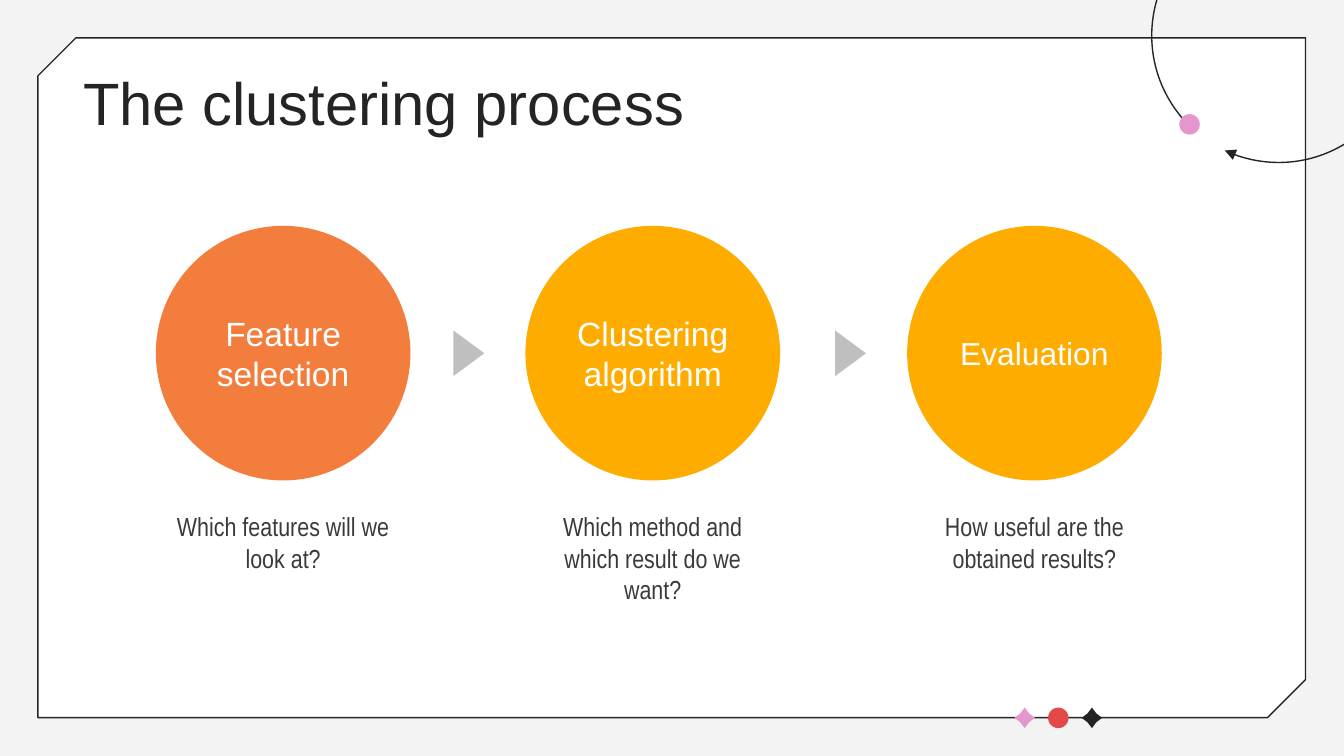
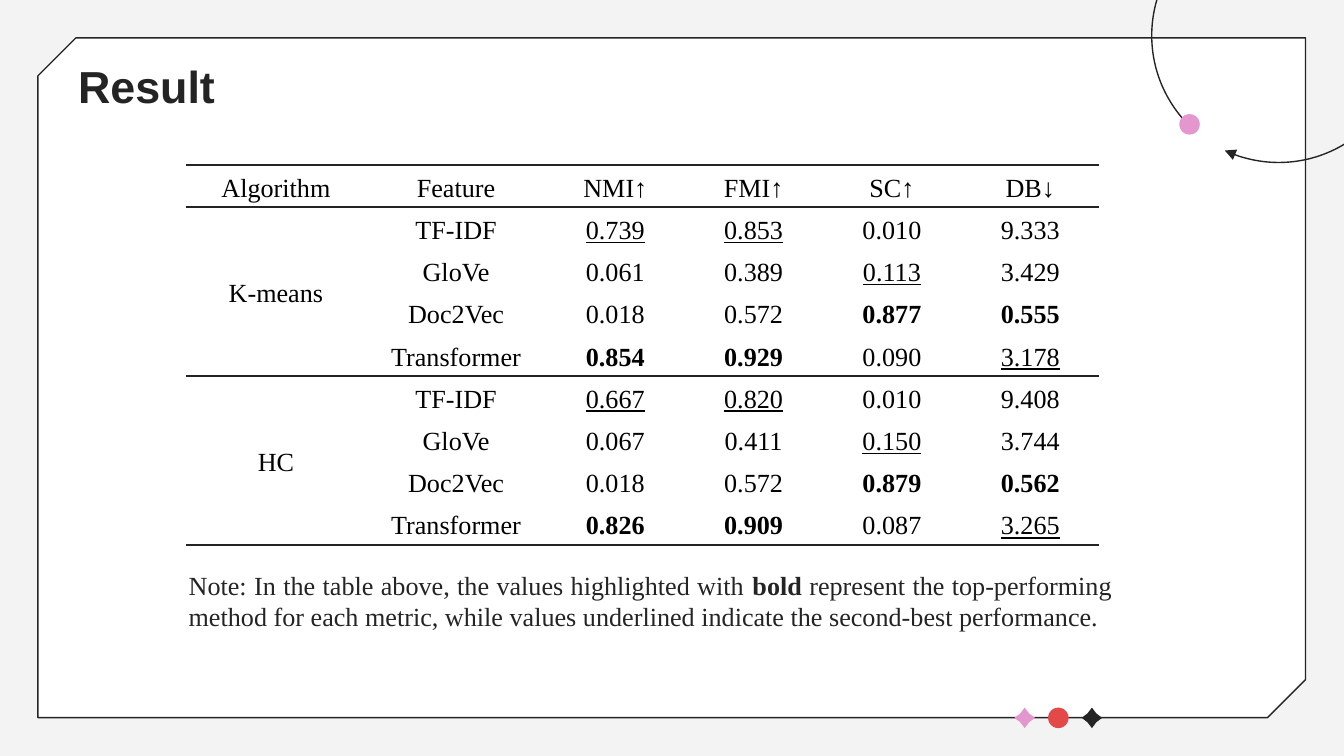
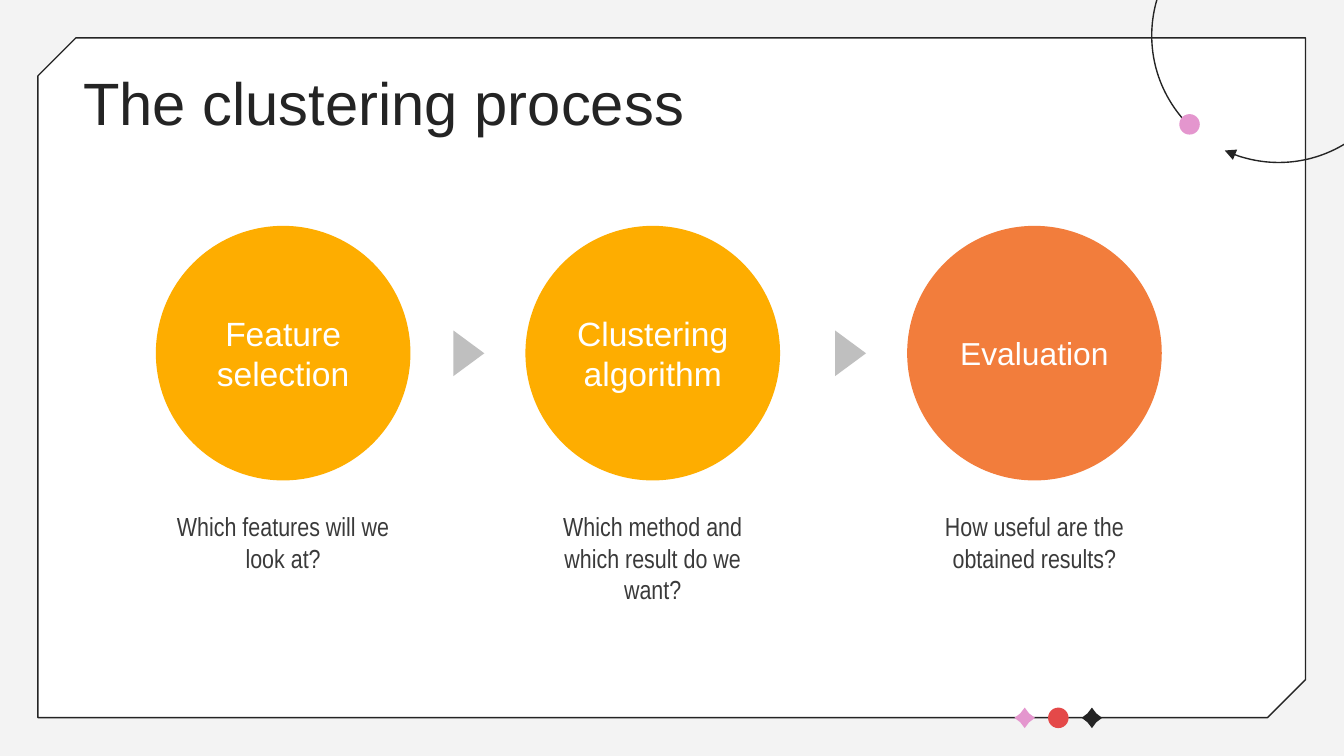
from lxml import etree
from pptx import Presentation
from pptx import util as u
from pptx.dml.color import RGBColor
from pptx.enum import shapes, text
from pptx.oxml import ns

Pt = u.Pt
SHAPE = shapes.MSO_SHAPE
ALIGN = text.PP_ALIGN
ANCHOR = text.MSO_ANCHOR

COLORS = {
    "ground": "F3F3F3", "white": "FFFFFF", "ink": "242424", "pink": "E496CE",
    "red": "E44949", "active": "F27D3C", "step": "FEAD00", "arrow": "BFBFBF",
    "caption": "3A3A3A", "black": "000000",
}


def color(name):
    return RGBColor.from_string(COLORS[name])


def write(para, content, font="Arial", size=14, ink="ink", bold=False,
          underline=False, align=None, spacing=None):
    """Add one formatted span to a paragraph."""
    if align is not None:
        para.alignment = align
    if spacing:
        para.line_spacing = Pt(spacing)
    span = para.add_run()
    span.text = content
    span.font.name = font
    span.font.size = Pt(size)
    span.font.bold = bold
    span.font.underline = underline
    span.font.color.rgb = color(ink)


class Builder:
    """Holds the deck style and the current page."""

    def __init__(self):
        self.deck = Presentation()
        self.deck.slide_width, self.deck.slide_height = Pt(720), Pt(405)
        ground = self.deck.slide_master.background.fill
        ground.solid()
        ground.fore_color.rgb = color("ground")
        self.layout = self.deck.slide_layouts.get_by_name("Title Only")
        for holder in list(self.layout.placeholders)[1:]:
            holder.element.getparent().remove(holder.element)
        self.page = None

    def new_page(self):
        first = self.page is None
        self.page = self.deck.slides.add_slide(self.layout)
        if first:
            self.frame()

    def frame(self):
        """Draw the shared decoration and move it to the layout."""
        card = self.shape(SHAPE.SNIP_2_DIAG_RECTANGLE, 20.3, 20.3, 679.1, 364.2,
                          "white", line="ink", adjust=(0.056, 0))
        marks = [(SHAPE.STAR_4_POINT, "pink", (0.303,)), (SHAPE.OVAL, "red", ()),
                 (SHAPE.STAR_4_POINT, "ink", (0.303,))]
        parts = [card] + [
            self.shape(kind, 543.5 + 18 * i, 379.1, 11, 11, fill, adjust=adjust)
            for i, (kind, fill, adjust) in enumerate(marks)]
        orbit = self.shape(SHAPE.ARC, 617, -49, 136, 136, line="ink",
                           adjust=(162, 150.08), turn=225)
        outline = orbit.element.spPr.find(ns.qn("a:ln"))
        etree.SubElement(outline, ns.qn("a:tailEnd"), type="triangle")
        parts += [orbit, self.shape(SHAPE.OVAL, 631.8, 61.1, 11, 11, "pink", turn=315)]
        holder = self.layout.placeholders[0].element
        for part in parts:
            holder.addprevious(part.element)

    def title(self, content, left, top, **style):
        box = self.page.shapes.title
        box.left, box.top, box.width, box.height = Pt(left), Pt(top), Pt(607), Pt(45.4)
        frame = box.text_frame
        frame.word_wrap = True
        frame.auto_size = text.MSO_AUTO_SIZE.NONE
        frame.vertical_anchor = ANCHOR.TOP
        frame.margin_left = frame.margin_right = Pt(7.2)
        frame.margin_top = frame.margin_bottom = Pt(7.2)
        write(frame.paragraphs[0], content, align=ALIGN.LEFT, **style)

    def shape(self, kind, left, top, width, height, fill=None, line=None,
              adjust=(), turn=0):
        item = self.page.shapes.add_shape(kind, Pt(left), Pt(top), Pt(width), Pt(height))
        item.shadow.inherit = False
        item.rotation = turn
        for i, value in enumerate(adjust):
            item.adjustments[i] = value
        if fill:
            item.fill.solid()
            item.fill.fore_color.rgb = color(fill)
        else:
            item.fill.background()
        if line:
            item.line.color.rgb = color(line)
            item.line.width = Pt(0.75)
        else:
            item.line.fill.background()
        return item

    def circle(self, lines, left, top, size, fill, font_size):
        frame = self.shape(SHAPE.OVAL, left, top, size, size, fill).text_frame
        frame.vertical_anchor = ANCHOR.MIDDLE
        for i, line in enumerate(lines):
            para = frame.add_paragraph() if i else frame.paragraphs[0]
            write(para, line, size=font_size, ink="white", align=ALIGN.CENTER)

    def textbox(self, spans, left, top, width, height, **style):
        """Add one paragraph made of (text, bold) spans."""
        box = self.page.shapes.add_textbox(Pt(left), Pt(top), Pt(width), Pt(height))
        frame = box.text_frame
        frame.word_wrap = True
        frame.auto_size = text.MSO_AUTO_SIZE.SHAPE_TO_FIT_TEXT
        for content, bold in spans:
            write(frame.paragraphs[0], content, bold=bold, **style)

    def table(self, rows, left, top, widths, row_height):
        table = self.page.shapes.add_table(
            len(rows), len(widths), Pt(left), Pt(top), Pt(sum(widths)),
            Pt(row_height * len(rows))).table
        table.first_row = table.horz_banding = False
        for column, width in zip(table.columns, widths):
            column.width = Pt(width)
        for row in table.rows:
            row.height = Pt(row_height)
        return table

    def cell(self, cell, content, rules, **style):
        """Fill a cell; rules names the ruled sides, such as "TB"."""
        cell.margin_left = cell.margin_right = Pt(5)
        cell.margin_top = cell.margin_bottom = 0
        cell.vertical_anchor = ANCHOR.MIDDLE
        properties = cell._tc.get_or_add_tcPr()
        for side in "LRTB":
            border = etree.SubElement(properties, ns.qn(f"a:ln{side}"), w=str(Pt(1)))
            if side in rules:
                fill = etree.SubElement(border, ns.qn("a:solidFill"))
                etree.SubElement(fill, ns.qn("a:srgbClr"), val=COLORS["ink"])
            else:
                etree.SubElement(border, ns.qn("a:noFill"))
        cell.fill.background()
        if content:
            write(cell.text_frame.paragraphs[0], content, font="Times New Roman",
                  ink="black", align=ALIGN.CENTER, spacing=18, **style)


# Process pages: circle lines, font size, caption, left edge, caption height
STEPS = [
    (["Feature", "selection"], 18, "Which features will we look at?", 83.5, 41),
    (["Clustering", "algorithm"], 18, "Which method and which result do we want?", 281.5, 58),
    (["Evaluation"], 17, "How useful are the obtained results?", 486, 41),
]


def process_page(builder, active):
    builder.new_page()
    builder.title("The clustering process", 37.4, 28.1, size=32)
    for i, (lines, size, caption, left, height) in enumerate(STEPS):
        builder.circle(lines, left, 121, 136.4, "active" if i == active else "step", size)
        if i:
            builder.shape(SHAPE.ISOSCELES_TRIANGLE, left - 42.6, 181, 24.5, 16.6,
                          "arrow", turn=90)
        builder.textbox([(caption, False)], left, 270, 136.4, height,
                        font="Arial Narrow", ink="caption", align=ALIGN.CENTER)


# Result page
HEADER = ["Algorithm", "Feature", "NMI↑", "FMI↑", "SC↑", "DB↓"]
GROUPS = {
    "K-means": [
        ["TF-IDF", "0.739", "0.853", "0.010", "9.333"],
        ["GloVe", "0.061", "0.389", "0.113", "3.429"],
        ["Doc2Vec", "0.018", "0.572", "0.877", "0.555"],
        ["Transformer", "0.854", "0.929", "0.090", "3.178"],
    ],
    "HC": [
        ["TF-IDF", "0.667", "0.820", "0.010", "9.408"],
        ["GloVe", "0.067", "0.411", "0.150", "3.744"],
        ["Doc2Vec", "0.018", "0.572", "0.879", "0.562"],
        ["Transformer", "0.826", "0.909", "0.087", "3.265"],
    ],
}
NOTE = [
    ("Note: In the table above, the values highlighted with ", False),
    ("bold", True),
    (" represent the top-performing method for each metric, while values underlined "
     "indicate the second-best performance.", False),
]


def rank_styles(records):
    """Map (record, column) to bold for the best value, underline for the second."""
    styles = {}
    for col in range(2, len(HEADER)):
        order = sorted(range(len(records)), key=lambda i: float(records[i][col - 1]),
                       reverse=HEADER[col].endswith("↑"))
        styles[order[0], col] = {"bold": True}
        styles[order[1], col] = {"underline": True}
    return styles


def result_page(builder):
    builder.new_page()
    builder.title("Result", 34.6, 24.5, size=24, bold=True)

    rows, styles, starts = [HEADER], {}, []
    for name, records in GROUPS.items():
        start = len(rows)
        starts.append(start)
        for (i, col), style in rank_styles(records).items():
            styles[start + i, col] = style
        rows += [["" if i else name] + record for i, record in enumerate(records)]
    edges = [0, *starts, len(rows)]

    table = builder.table(rows, 99.6, 88.3, [96.5] * 2 + [74.1] * 4, 22.64)
    for start, end in zip(edges[1:], edges[2:]):
        table.cell(start, 0).merge(table.cell(end - 1, 0))
    for r, row in enumerate(rows):
        for c, content in enumerate(row):
            cell = table.cell(r, c)
            rules = ("T" if r in edges else "") + ("B" if r + cell.span_height in edges else "")
            builder.cell(cell, content, rules, **styles.get((r, c), {}))

    builder.textbox(NOTE, 94, 301.5, 509, 41, font="Times New Roman", align=ALIGN.JUSTIFY)


def main():
    builder = Builder()
    process_page(builder, active=0)
    result_page(builder)
    process_page(builder, active=2)
    builder.deck.save("out.pptx")


if __name__ == "__main__":
    main()
